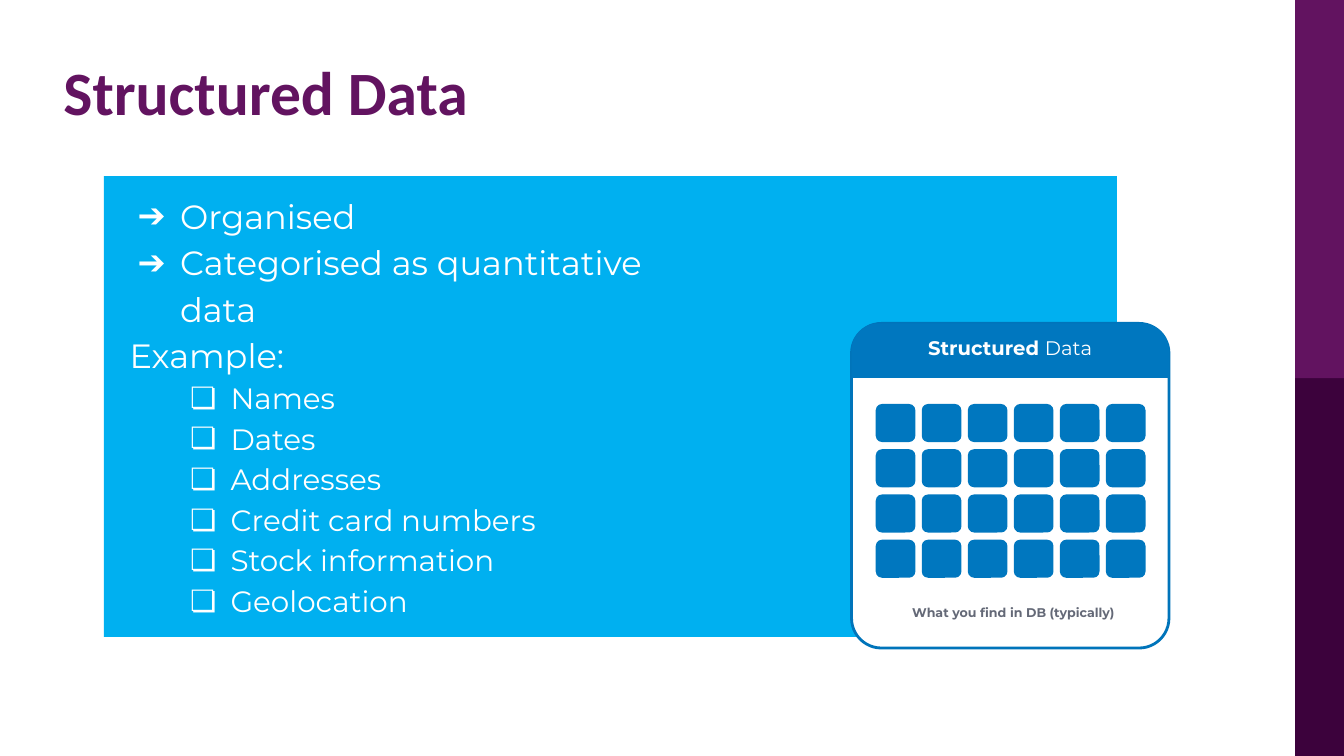
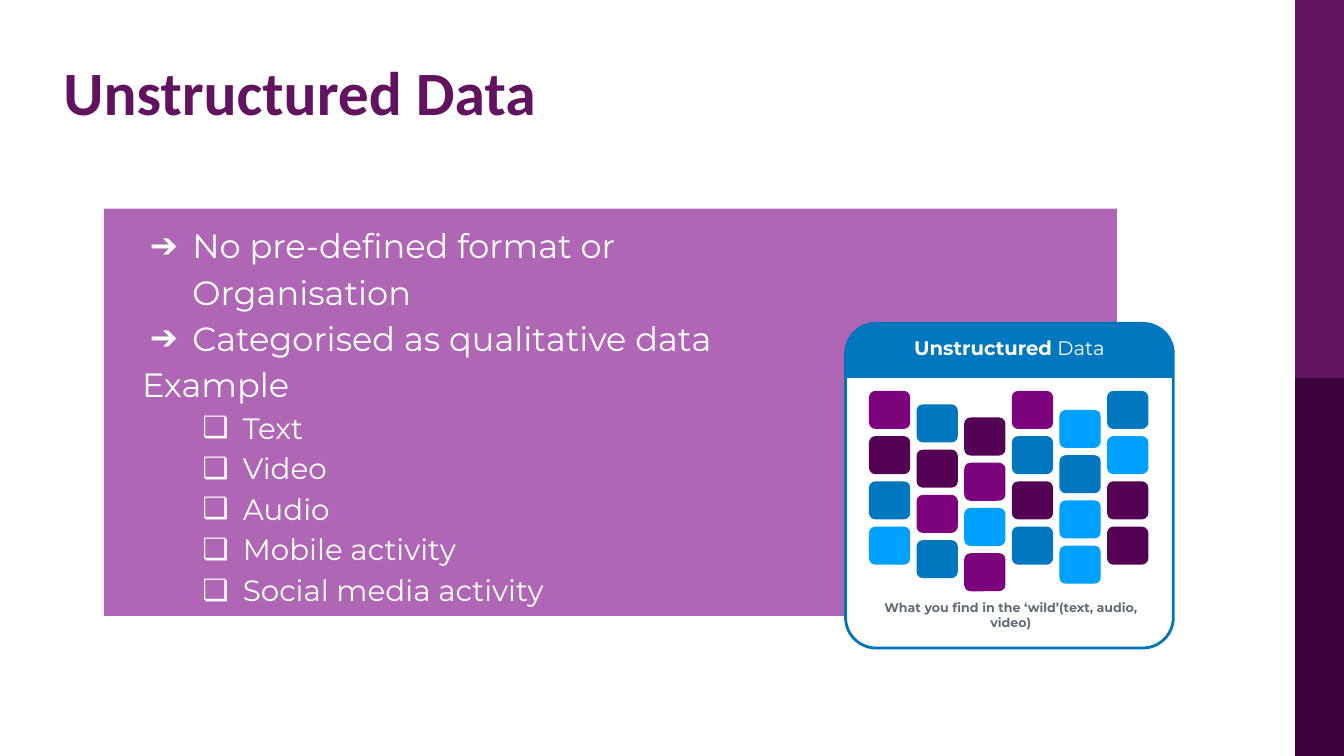
from itertools import product

from lxml.etree import SubElement
from pptx import Presentation
from pptx.dml.color import RGBColor
from pptx.enum.shapes import MSO_SHAPE as Shape
from pptx.enum.text import PP_ALIGN as Align
from pptx.oxml.ns import qn
from pptx.util import Cm, Pt

COLOURS = {
    "white": "FFFFFF",
    "plum": "621360",
    "dark_plum": "3C023C",
    "sky": "00B0F0",
    "lilac": "AF67B5",
    "outline": "0074BA",
    "blue": "0077BF",
    "light_blue": "00A0FF",
    "purple": "7D037E",
    "aubergine": "530254",
    "grey": "646977",
}
TILE_COLOURS = {"B": "blue", "L": "light_blue", "P": "purple", "D": "aubergine"}
TITLE_FONT = "Calibri"
BODY_FONT = "Montserrat"
BODY_SPACING = 1.15

CARD_TOP, CARD_HEIGHT, HEADER_HEIGHT = 8.15, 8.18, 1.37
TILE_HEIGHT, TILE_GAP_X, TILE_GAP_Y = 0.96, 0.16, 0.18

POINT = {"size": 24, "indent": (1.27, -1.07), "bullet": "➔"}
LABEL = {"size": 24}
EXAMPLE = {"size": 21, "indent": (2.54, -1.02), "bullet": "❏"}

STRUCTURED = {
    "title": "Structured Data",
    "panel": (2.62, 4.44, 25.53, 11.61),
    "panel_colour": "sky",
    "body": (3.02, 4.65, 14.55, 11.02),
    "points": ["Organised", "Categorised as quantitative data"],
    "label": "Example:",
    "examples": ["Names", "Dates", "Addresses", "Credit card numbers",
                 "Stock information", "Geolocation"],
    "card": (21.46, 8.0),
    "heading": ("Structured ", "Data"),
    "tile_origin": (22.07, 10.18),
    "tile_width": 1.0,
    "tiles": ["BBBBBB"] * 4,
    "drops": [0] * 6,
    "caption": "What you find in DB (typically)",
    "caption_box": (22.07, 15.19, 6.93, 0.51),
}
UNSTRUCTURED = {
    "title": "Unstructured Data",
    "panel": (2.62, 5.26, 25.53, 10.26),
    "panel_colour": "lilac",
    "body": (3.33, 5.39, 17.4, 10.0),
    "points": ["No pre-defined format or Organisation",
               "Categorised as qualitative data"],
    "label": "Example",
    "examples": ["Text", "Video", "Audio", "Mobile activity",
                 "Social media activity"],
    "card": (21.31, 8.26),
    "heading": ("Unstructured", " Data"),
    "tile_origin": (21.9, 9.85),
    "tile_width": 1.04,
    "tiles": ["PBDPLB", "DDPBBL", "BPLDLD", "LBPBLD"],
    "drops": [0, 0.34, 0.67, 0, 0.48, 0],
    "caption": "What you find in the ‘wild’(text, audio, video)",
    "caption_box": (21.95, 15.06, 7.04, 0.89),
}


def rgb(name):
    return RGBColor.from_string(COLOURS[name])


def add_block(shapes, preset, box, fill, rounding=None, outline=None):
    block = shapes.add_shape(preset, *map(Cm, box))
    block.shadow.inherit = False
    block.fill.solid()
    block.fill.fore_color.rgb = rgb(fill)
    if rounding is not None:
        block.adjustments[0] = rounding
    if outline:
        block.line.color.rgb = rgb(outline)
        block.line.width = Pt(2)
    else:
        block.line.fill.background()


def add_text_frame(shapes, box, inset_x=0.25, inset_y=0.13):
    frame = shapes.add_textbox(*map(Cm, box)).text_frame
    frame.word_wrap = True
    frame.margin_left = frame.margin_right = Cm(inset_x)
    frame.margin_top = frame.margin_bottom = Cm(inset_y)
    return frame


def add_run(paragraph, text, size, colour, bold=False, font=BODY_FONT):
    run = paragraph.add_run()
    run.text = text
    run.font.name = font
    run.font.size = Pt(size)
    run.font.bold = bold
    run.font.color.rgb = rgb(colour)


def set_bullet(paragraph, bullet, indent):
    properties = paragraph._p.get_or_add_pPr()
    left, hanging = indent
    properties.set("marL", str(Cm(left)))
    properties.set("indent", str(Cm(hanging)))
    colour = SubElement(properties, qn("a:buClr"))
    SubElement(colour, qn("a:srgbClr"), val=COLOURS["white"])
    SubElement(properties, qn("a:buFont"), typeface=BODY_FONT)
    SubElement(properties, qn("a:buChar"), char=bullet)


def add_bands(slide):
    for top, colour in ((9.52, "dark_plum"), (0, "plum")):
        add_block(slide.shapes, Shape.RECTANGLE, (32.64, top, 1.23, 9.53), colour)


def add_title(slide, text):
    title = add_text_frame(slide.shapes, (1.35, 1.55, 30.96, 3.15)).paragraphs[0]
    title.line_spacing = 0.82
    add_run(title, text, 44, "plum", bold=True, font=TITLE_FONT)


def add_body(slide, topic):
    frame = add_text_frame(slide.shapes, topic["body"])
    lines = [(text, POINT) for text in topic["points"]]
    lines.append((topic["label"], LABEL))
    lines += [(text, EXAMPLE) for text in topic["examples"]]
    for index, (text, style) in enumerate(lines):
        paragraph = frame.add_paragraph() if index else frame.paragraphs[0]
        if "bullet" in style:
            set_bullet(paragraph, style["bullet"], style["indent"])
        paragraph.line_spacing = BODY_SPACING
        add_run(paragraph, text, style["size"], "white")


def add_centred_line(shapes, box):
    line = add_text_frame(shapes, box, 0.05, 0.05).paragraphs[0]
    line.alignment = Align.CENTER
    return line


def add_tiles(shapes, topic):
    left, top = topic["tile_origin"]
    width, rows, drops = topic["tile_width"], topic["tiles"], topic["drops"]
    for row, column in product(range(len(rows)), range(len(drops))):
        x = left + column * (width + TILE_GAP_X)
        y = top + row * (TILE_HEIGHT + TILE_GAP_Y) + drops[column]
        colour = TILE_COLOURS[rows[row][column]]
        add_block(shapes, Shape.ROUNDED_RECTANGLE, (x, y, width, TILE_HEIGHT), colour)


def add_card(slide, topic):
    shapes = slide.shapes.add_group_shape().shapes
    left, width = topic["card"]
    add_block(shapes, Shape.ROUNDED_RECTANGLE,
              (left, CARD_TOP, width, CARD_HEIGHT), "white", 0.094, "outline")
    add_block(shapes, Shape.ROUND_2_SAME_RECTANGLE,
              (left, CARD_TOP, width, HEADER_HEIGHT), "blue", 0.5)
    heading = add_centred_line(shapes, (left, CARD_TOP + 0.26, width, 0.74))
    kind, noun = topic["heading"]
    add_run(heading, kind, 14, "white", bold=True)
    add_run(heading, noun, 14, "white")
    add_tiles(shapes, topic)
    caption = add_centred_line(shapes, topic["caption_box"])
    add_run(caption, topic["caption"], 9, "grey", bold=True)


def add_topic_slide(deck, topic):
    slide = deck.slides.add_slide(deck.slide_layouts[6])
    add_bands(slide)
    add_title(slide, topic["title"])
    add_block(slide.shapes, Shape.RECTANGLE, topic["panel"], topic["panel_colour"])
    add_body(slide, topic)
    add_card(slide, topic)


def main():
    deck = Presentation()
    deck.slide_width, deck.slide_height = Cm(33.87), Cm(19.05)
    for topic in (STRUCTURED, UNSTRUCTURED):
        add_topic_slide(deck, topic)
    deck.save("out.pptx")


if __name__ == "__main__":
    main()
